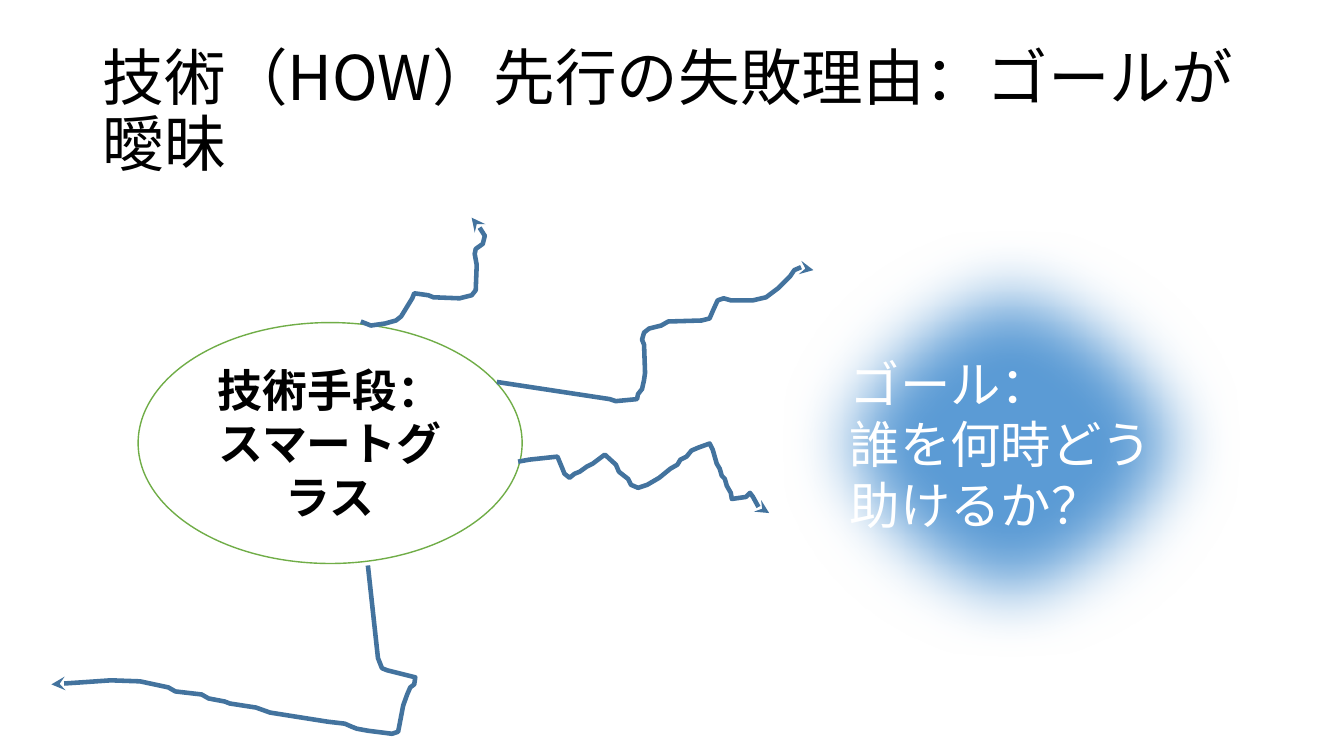
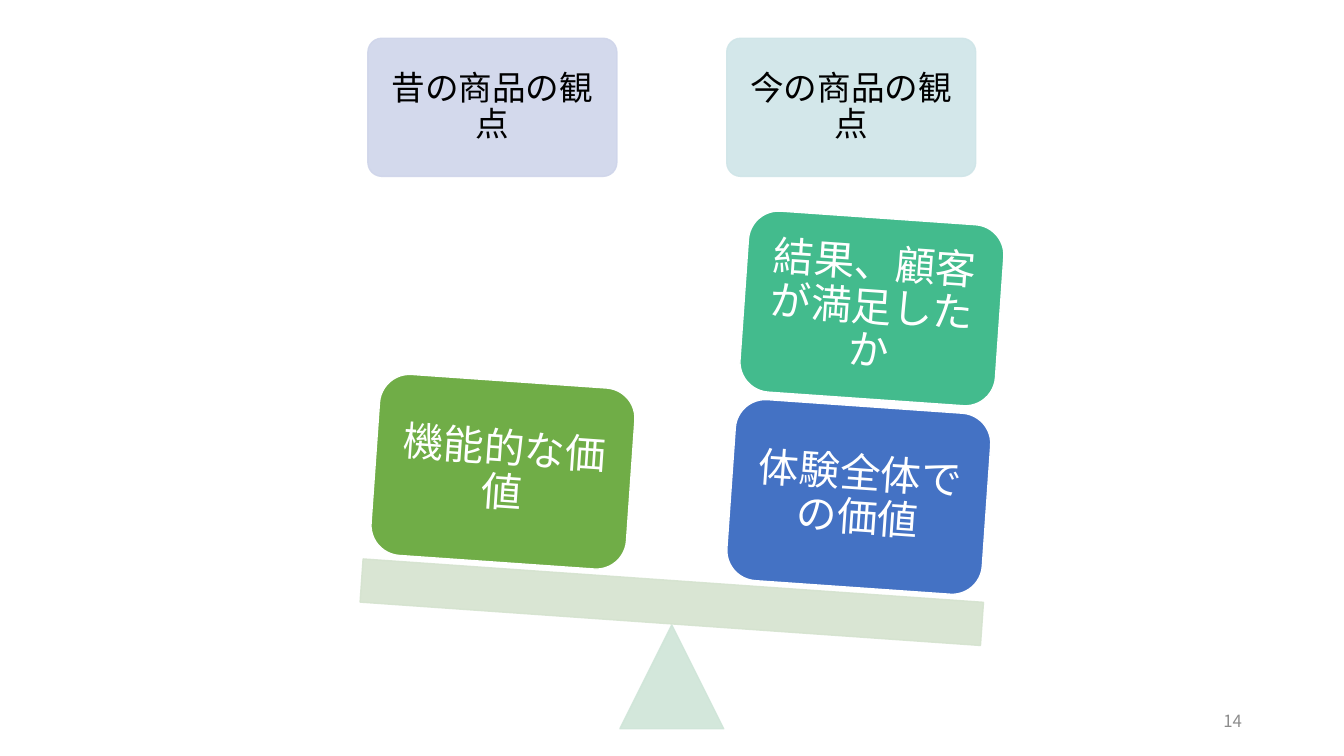
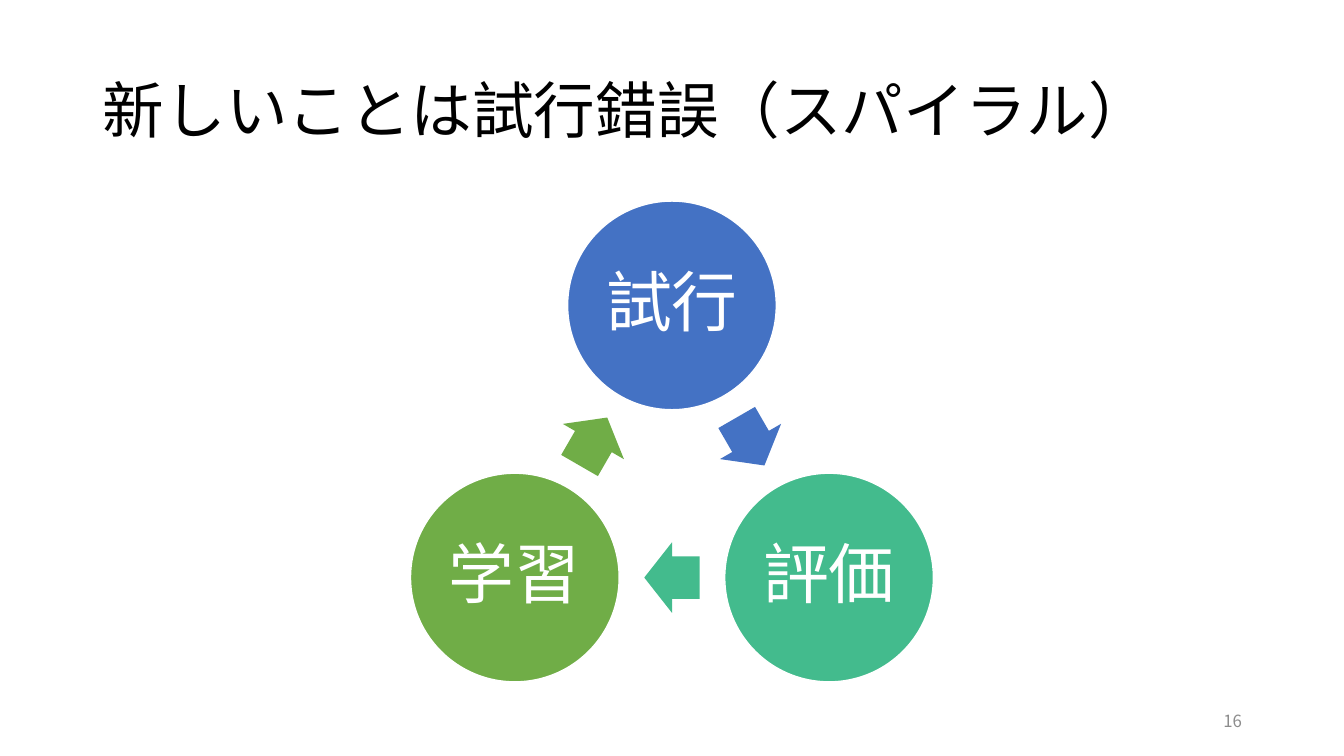
import math
from dataclasses import dataclass
from typing import Optional

import pptx
import pptx.dml.color
import pptx.enum.shapes
import pptx.enum.text
import pptx.oxml.ns
import pptx.util
from lxml import etree

# Shared look: a grid of square cells, ten to the inch
CELL = pptx.util.Inches(0.1)
COLS, ROWS = 133.33, 75
FONT = "Noto Sans CJK JP"
BLACK, WHITE, GREY = "000000", "FFFFFF", "8C8C8C"
BLUE, TEAL, GREEN = "4472C4", "43BB8D", "70AD47"
SKY, STEEL = "5B9BD5", "43739E"

KIND = pptx.enum.shapes.MSO_SHAPE
ALIGN = pptx.enum.text.PP_ALIGN
MIDDLE = pptx.enum.text.MSO_ANCHOR.MIDDLE
Box = tuple[float, float, float, float]


@dataclass
class Style:
    size: float
    color: str = WHITE
    bold: bool = False
    align: ALIGN = ALIGN.CENTER
    space: float = 0.9
    pad: Optional[float] = None


@dataclass
class Part:
    kind: KIND
    box: Box
    fill: str
    line: Optional[str] = WHITE
    text: str = ""
    style: Optional[Style] = None
    turn: float = 0
    alpha: int = 100
    adj: tuple[float, ...] = ()


HEAD = Style(44, BLACK, align=ALIGN.LEFT)
FOOT = Style(12, GREY, align=ALIGN.RIGHT, space=1)
GOAL = Style(36, align=ALIGN.LEFT, space=1)
MEANS = Style(32, BLACK, bold=True, space=1)
TAG = Style(24, BLACK, pad=1)
BLOCK = Style(29, pad=1.2)
STEP = Style(47, pad=0.7)


def cells(count: float) -> int:
    return pptx.util.Emu(round(count * CELL))


def rgb(color: str) -> pptx.dml.color.RGBColor:
    return pptx.dml.color.RGBColor.from_string(color)


def add(parent, tag: str, **attrs: str):
    return etree.SubElement(parent, pptx.oxml.ns.qn(tag), attrs)


def write(frame, text: str, style: Style) -> None:
    frame.text = text
    frame.word_wrap = True
    frame.auto_size = pptx.enum.text.MSO_AUTO_SIZE.NONE
    frame.vertical_anchor = MIDDLE
    if style.pad is not None:
        frame.margin_left = frame.margin_right = cells(style.pad)
        frame.margin_top = frame.margin_bottom = cells(style.pad)
    for para in frame.paragraphs:
        para.alignment = style.align
        para.line_spacing = style.space
        font = para.font
        font.name, font.bold = FONT, style.bold
        font.size = pptx.util.Pt(style.size)
        font.color.rgb = rgb(style.color)
        add(font._element, "a:ea", typeface=FONT)


def place(shape, box: Box) -> None:
    shape.left, shape.top, shape.width, shape.height = map(cells, box)


def title(slide, text: str) -> None:
    place(slide.shapes.title, (9.2, 4, 115, 14.5))
    write(slide.shapes.title.text_frame, text, HEAD)


def number(slide, text: str) -> None:
    box = slide.shapes.add_textbox(*map(cells, (94.2, 69.5, 30, 4)))
    write(box.text_frame, text, FOOT)


def fade(color, alpha: int) -> None:
    if alpha < 100:
        node = color._xFill.find(pptx.oxml.ns.qn("a:srgbClr"))
        add(node, "a:alpha", val=str(alpha * 1000))


def draw(slide, part: Part):
    shape = slide.shapes.add_shape(part.kind, *map(cells, part.box))
    shape.shadow.inherit = False
    shape.rotation = part.turn
    for i, value in enumerate(part.adj):
        shape.adjustments[i] = value
    shape.fill.solid()
    shape.fill.fore_color.rgb = rgb(part.fill)
    fade(shape.fill.fore_color, part.alpha)
    if part.line:
        shape.line.color.rgb = rgb(part.line)
        shape.line.width = pptx.util.Pt(1)
        fade(shape.line.color, part.alpha)
    else:
        shape.line.fill.background()
    if part.style:
        write(shape.text_frame, part.text, part.style)
    return shape


def stray(slide, points: list[tuple[int, int]]) -> None:
    """Draw a wandering arrow through points given in tenths of a cell."""
    pen = slide.shapes.build_freeform(*points[0], scale=CELL / 10)
    pen.add_line_segments(points[1:], close=False)
    shape = pen.convert_to_shape()
    shape.shadow.inherit = False
    shape.fill.background()
    shape.line.color.rgb = rgb(STEEL)
    shape.line.width = pptx.util.Pt(3.25)
    add(shape.line._get_or_add_ln(), "a:tailEnd", type="stealth")


# Wandering routes away from the technology oval
ROUTES = [
    [(493, 379), (605, 396), (611, 398), (632, 396), (633, 391), (637, 386),
     (639, 377), (640, 370), (639, 342), (637, 337), (639, 330), (644, 326),
     (656, 323), (663, 319), (696, 318), (704, 316), (707, 309), (712, 298),
     (718, 296), (725, 298), (747, 298), (760, 295), (772, 286), (784, 274),
     (788, 268), (795, 265), (807, 268)],
    [(514, 458), (525, 456), (553, 453), (558, 465), (560, 470), (565, 474),
     (570, 470), (575, 468), (582, 463), (588, 460), (600, 451), (611, 461),
     (614, 468), (619, 472), (623, 475), (626, 481), (633, 484), (642, 481),
     (654, 474), (665, 465), (672, 461), (675, 456), (681, 453), (686, 447),
     (693, 444), (704, 440), (707, 446), (711, 460), (714, 465), (716, 472),
     (719, 475), (721, 482), (725, 489), (726, 495), (740, 493), (744, 489),
     (747, 493), (753, 504), (758, 505), (763, 509)],
    [(365, 561), (375, 653), (379, 663), (384, 665), (412, 672), (411, 679),
     (407, 682), (404, 689), (400, 700), (396, 721), (395, 726), (389, 728),
     (365, 725), (354, 723), (349, 721), (342, 718), (325, 716), (268, 707),
     (254, 702), (228, 698), (223, 696), (207, 693), (200, 689), (174, 686),
     (167, 682), (139, 676), (110, 675), (81, 677), (51, 679)],
    [(358, 319), (368, 323), (382, 321), (393, 318), (398, 314), (409, 296),
     (411, 291), (425, 293), (430, 295), (456, 296), (468, 293), (472, 288),
     (473, 263), (471, 252), (472, 247), (479, 242), (481, 234), (474, 223),
     (468, 216)],
]


def vague(slide) -> None:
    title(slide, "技術（HOW）先行の失敗理由：ゴールが曖昧")
    goal = draw(slide, Part(KIND.OVAL, (76.3, 21.6, 47.9, 44.8), SKY, STEEL,
                            "ゴール：\n誰を何時どう助けるか？", GOAL))
    # Blurred rim of the goal
    glow = goal._element.spPr.find(pptx.oxml.ns.qn("a:effectLst"))
    add(glow, "a:softEdge", rad=str(pptx.util.Pt(50)))
    draw(slide, Part(KIND.OVAL, (13.7, 32, 38.1, 23.9), WHITE, GREEN,
                     "技術手段：\nスマートグラス", MEANS))
    for route in ROUTES:
        stray(slide, route)


def scale(slide) -> None:
    # Column heads
    heads = [("昔の商品の観点", "CFD5EA"), ("今の商品の観点", "CFE5E8")]
    for i, (text, tint) in enumerate(heads):
        draw(slide, Part(KIND.ROUNDED_RECTANGLE, (36.5 + 35.6 * i, 3.8, 24.7, 13.7),
                         tint, tint, text, TAG, alpha=90, adj=(0.1,)))
    # Pivot and tilted beam
    lean = 4
    draw(slide, Part(KIND.ISOSCELES_TRIANGLE, (61.5, 62, 10.3, 10.3),
                     "CFE5D8", "CFE5D8", alpha=90))
    draw(slide, Part(KIND.RECTANGLE, (35.8, 57.6, 61.7, 4.3),
                     "D5E3CF", "D5E3CF", turn=lean, alpha=90))
    # Weights on the beam
    loads = [(72.5, 40.3, BLUE, "体験全体での価値"),
             (73.8, 21.6, TEAL, "結果、顧客が満足したか"),
             (37.2, 37.8, GREEN, "機能的な価値")]
    for left, top, fill, text in loads:
        draw(slide, Part(KIND.ROUNDED_RECTANGLE, (left, top, 25.4, 18),
                         fill, text=text, style=BLOCK, turn=lean))
    number(slide, "14")


def orbit(radius: float, angle: float, wide: float, high: float) -> Box:
    """Box centred on a circle about the middle of the cycle."""
    turn = math.radians(angle)
    return (COLS / 2 + radius * math.cos(turn) - wide / 2,
            48.3 + radius * math.sin(turn) - high / 2, wide, high)


def cycle(slide) -> None:
    title(slide, "新しいことは試行錯誤（スパイラル）")
    steps = [("試行", BLUE), ("評価", TEAL), ("学習", GREEN)]
    for i, (text, fill) in enumerate(steps):
        turn = 360 / len(steps) * i
        draw(slide, Part(KIND.OVAL, orbit(18, turn - 90, 20.7, 20.7),
                         fill, text=text, style=STEP))
        draw(slide, Part(KIND.RIGHT_ARROW, orbit(9, turn - 30, 5.5, 7),
                         fill, None, turn=turn + 60, adj=(0.6, 0.5)))
    number(slide, "16")


def main() -> None:
    deck = pptx.Presentation()
    deck.slide_width, deck.slide_height = cells(COLS), cells(ROWS)
    titled, blank = deck.slide_layouts[5], deck.slide_layouts[6]
    for layout, fill in ((titled, vague), (blank, scale), (titled, cycle)):
        fill(deck.slides.add_slide(layout))
    deck.save("out.pptx")


if __name__ == "__main__":
    main()
